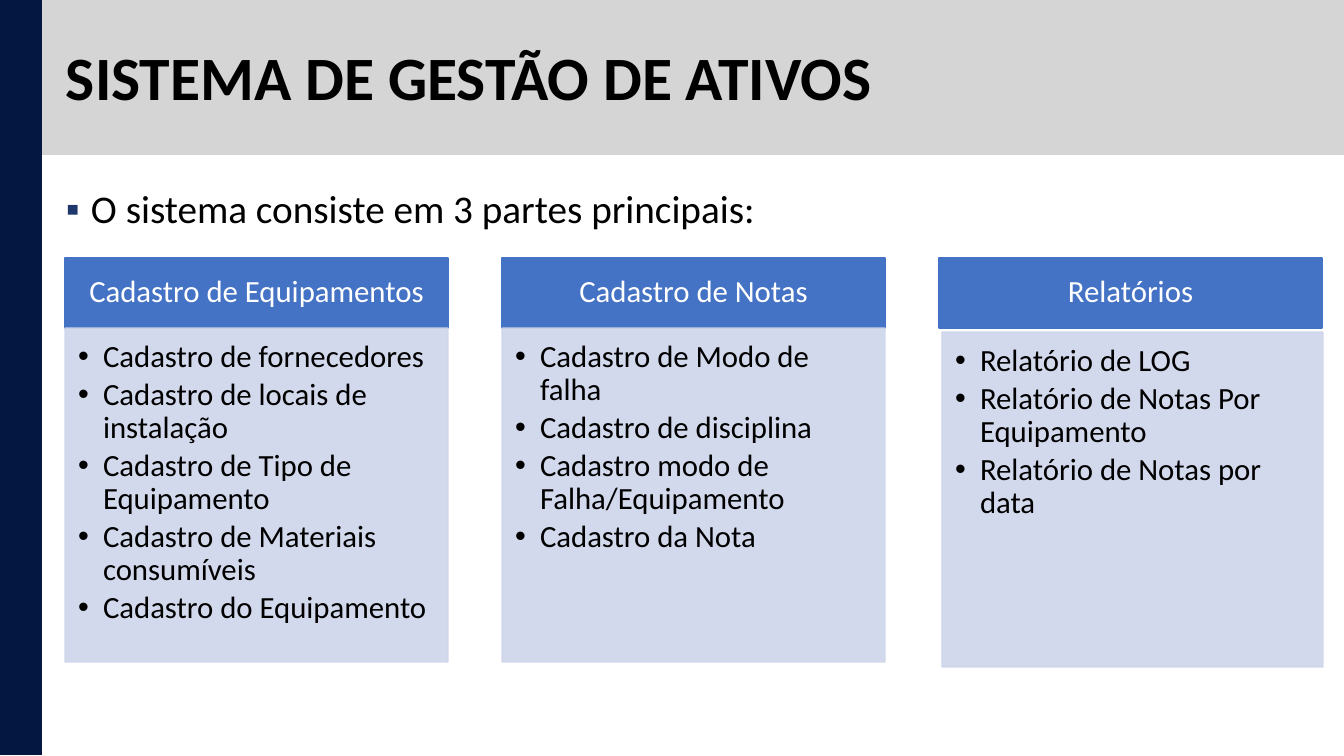
from lxml.etree import SubElement
from pptx import Presentation
from pptx.dml.color import RGBColor
from pptx.enum.shapes import MSO_SHAPE
from pptx.enum.text import MSO_ANCHOR, PP_ALIGN
from pptx.oxml.ns import qn
from pptx.util import Emu, Pt

PX = 9071.43  # EMU per px, 100.8 px to the inch
BULLET_INDENT = 25

NAVY, GREY, BLUE, PALE = "041741", "D6D5D5", "4472C4", "CFD5EA"
BLACK, WHITE, MARKER = "000000", "FFFFFF", "1E386D"

COLUMNS = [
    ("Cadastro de Equipamentos", (65, 328, 383, 334), [
        "Cadastro de fornecedores",
        "Cadastro de locais de instalação",
        "Cadastro de Tipo de Equipamento",
        "Cadastro de Materiais consumíveis",
        "Cadastro do Equipamento",
    ]),
    ("Cadastro de Notas", (502, 328, 383, 334), [
        "Cadastro de Modo de falha",
        "Cadastro de disciplina",
        "Cadastro modo de Falha/Equipamento",
        "Cadastro da Nota",
    ]),
    ("Relatórios", (942, 332, 381, 335), [
        "Relatório de LOG",
        "Relatório de Notas Por Equipamento",
        "Relatório de Notas por data",
    ]),
]


def add_box(place, color=None, opacity=100):
    """Add a rectangle, outlined in its own colour; without a colour, a clear text box."""
    lengths = [Emu(round(length * PX)) for length in place]
    if color is None:
        box = page.shapes.add_textbox(*lengths)
    else:
        box = page.shapes.add_shape(MSO_SHAPE.RECTANGLE, *lengths)
        box.shadow.inherit = False
        box.line.width = Pt(1)
        for fill in (box.fill, box.line.fill):
            fill.solid()
            fill.fore_color.rgb = RGBColor.from_string(color)
        if opacity < 100:
            for tint in box._element.spPr.iter(qn("a:srgbClr")):
                SubElement(tint, qn("a:alpha"), val=str(opacity * 1000))
    box.text_frame.word_wrap = True
    return box


def write(box, lines, size, color, insets, anchor=MSO_ANCHOR.TOP, align=PP_ALIGN.LEFT,
          bold=False, before=0, after=0, bullet=None, bullet_color=BLACK):
    frame = box.text_frame
    frame.vertical_anchor = anchor
    (frame.margin_left, frame.margin_top,
     frame.margin_right, frame.margin_bottom) = [Emu(round(inset * PX)) for inset in insets]
    frame.text = "\n".join(lines)
    for para in frame.paragraphs:
        para.alignment = align
        para.line_spacing = 0.9
        para.space_before, para.space_after = Pt(before), Pt(after)
        para.font.name, para.font.size, para.font.bold = "Calibri", Pt(size), bold
        para.font.color.rgb = RGBColor.from_string(color)
        if bullet:
            props = para._p.get_or_add_pPr()
            indent = round(BULLET_INDENT * PX)
            props.set("marL", str(indent))
            props.set("indent", str(-indent))
            marker = [
                SubElement(props, qn("a:buClr")),
                SubElement(props, qn("a:buFont"), typeface="Arial"),
                SubElement(props, qn("a:buChar"), char=bullet),
            ]
            SubElement(marker[0], qn("a:srgbClr"), val=bullet_color)
            # The schema wants bullets ahead of the default run properties
            props.find(qn("a:defRPr")).addprevious(marker[0])
            for earlier, later in zip(marker, marker[1:]):
                earlier.addnext(later)


deck = Presentation()
deck.slide_width, deck.slide_height = Emu(round(1344 * PX)), Emu(round(756 * PX))
page = deck.slides.add_slide(deck.slide_layouts[6])

for place, color in [((0, 0, 1344, 155), GREY), ((-1, 0, 43, 755), NAVY)]:
    add_box(place, color).line.fill.background()

title = add_box((56, 8, 1246, 146))
write(title, ["SISTEMA DE GESTÃO DE ATIVOS"], 44, BLACK, (10, 5, 10, 5),
      anchor=MSO_ANCHOR.MIDDLE, bold=True)

intro = add_box((56, 185, 1246, 55))
write(intro, ["O sistema consiste em 3 partes principais:"], 28, BLACK, (10, 5, 10, 5),
      before=10, bullet="▪", bullet_color=MARKER)

for index, (heading, panel_place, items) in enumerate(COLUMNS):
    header = add_box((65 + 437 * index, 258, 383, 70), BLUE)
    write(header, [heading], 22, WHITE, (17, 10, 17, 10),
          anchor=MSO_ANCHOR.MIDDLE, align=PP_ALIGN.CENTER)
    panel = add_box(panel_place, PALE, opacity=90)
    write(panel, items, 22, BLACK, (13, 13, 17, 19), after=3.3, bullet="•")

deck.save("out.pptx")
